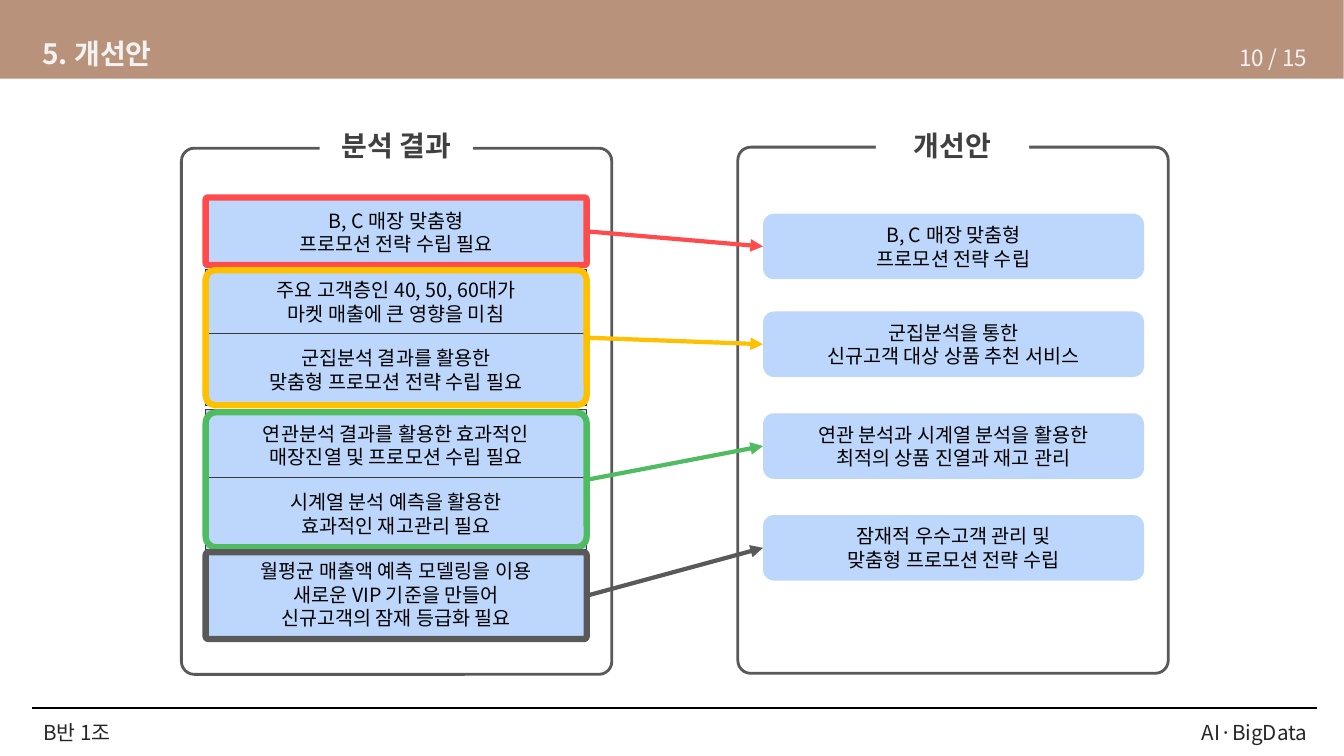
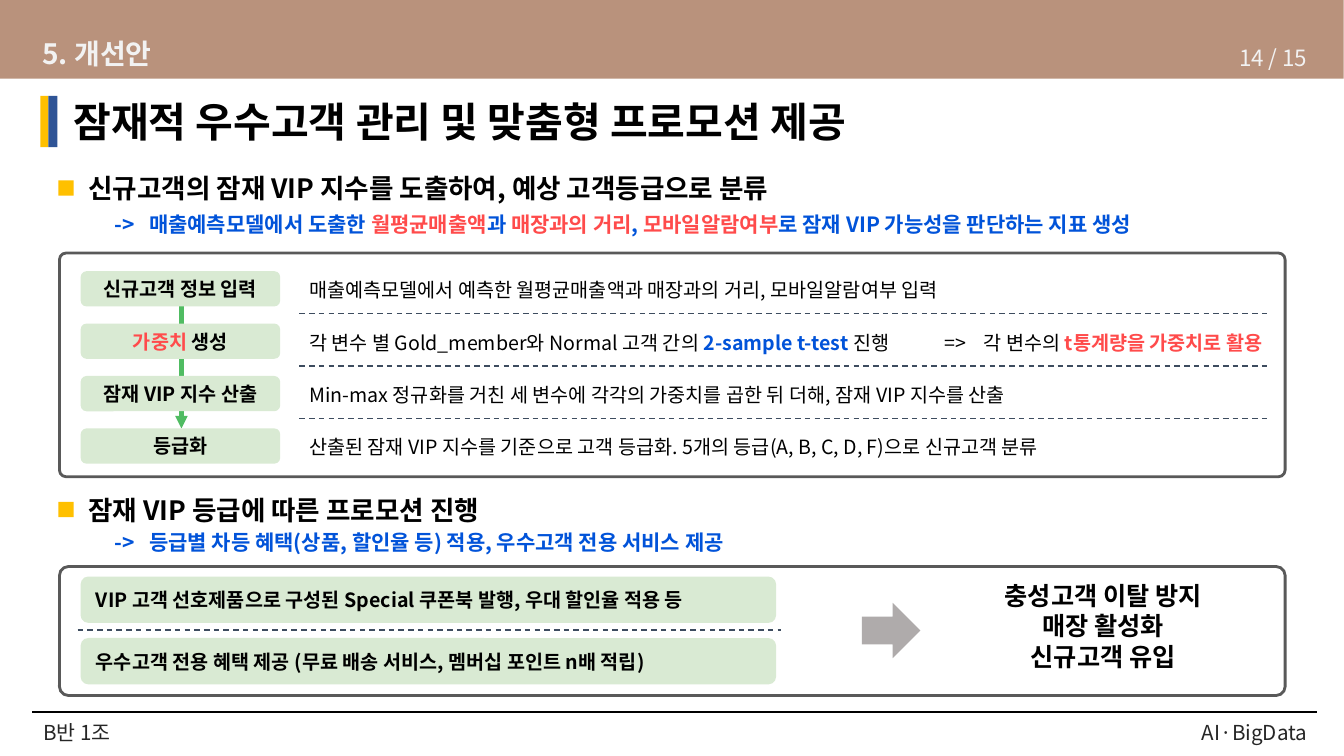
from lxml.etree import SubElement
from pptx import Presentation
from pptx.dml.color import RGBColor
from pptx.enum.dml import MSO_LINE
from pptx.enum.shapes import MSO_CONNECTOR, MSO_SHAPE
from pptx.enum.text import MSO_ANCHOR, MSO_AUTO_SIZE, PP_ALIGN
from pptx.oxml.ns import qn
from pptx.util import Pt

PX = 9144  # 100 px to the inch
FONT = "Noto Sans CJK KR"
C = dict(band="B9927C", light="F2F2F2", ink="000000", footer="262626", heading="404040",
         frame="595959", edge="3B3838", sky="BDD7FC", mint="D9EAD3", white="FFFFFF",
         red="FF4B4B", yellow="FFC000", green="50BC62", blue="0153D9", navy="2F5496",
         dash="3D4C5F", arrow="AFABAB")

SECTION = "5. 개선안"
TEAM, COURSE = "B반 1조", "AI·BigData"

# Slide 10: panel heading, left, top
PANELS = [("분석 결과", 180, 147), ("개선안", 732, 146)]
# top, height, text
FINDINGS = [
    (198, 65, "B, C 매장 맞춤형\n프로모션 전략 수립 필요"),
    (267, 65, "주요 고객층인 40, 50, 60대가\n마켓 매출에 큰 영향을 미침"),
    (331, 71, "군집분석 결과를 활용한\n맞춤형 프로모션 전략 수립 필요"),
    (406, 71, "연관분석 결과를 활용한 효과적인\n매장진열 및 프로모션 수립 필요"),
    (474, 71, "시계열 분석 예측을 활용한\n효과적인 재고관리 필요"),
    (546, 87, "월평균 매출액 예측 모델링을 이용\n새로운 VIP 기준을 만들어\n신규고객의 잠재 등급화 필요"),
]
# group top, height, corner, colour; plan top, text
LINKS = [
    (196, 67, 0.03, "red", 212, "B, C 매장 맞춤형\n프로모션 전략 수립"),
    (268, 134, 0.07, "yellow", 309, "군집분석을 통한\n신규고객 대상 상품 추천 서비스"),
    (409, 134, 0.08, "green", 410, "연관 분석과 시계열 분석을 활용한\n최적의 상품 진열과 재고 관리"),
    (548, 86, 0.03, "frame", 511, "잠재적 우수고객 관리 및\n맞춤형 프로모션 전략 수립"),
]

# Slide 14: a text is a string or a list of (text, format) runs
HEADLINE = "잠재적 우수고객 관리 및 맞춤형 프로모션 제공"
RED, BLUE = dict(color="red"), dict(color="blue")
# heading top, heading, subheading top, subheading
TOPICS = [
    (166, "신규고객의 잠재 VIP 지수를 도출하여, 예상 고객등급으로 분류", 205,
     [("->\t매출예측모델에서 도출한 ", BLUE), ("월평균매출액", RED), ("과 ", BLUE),
      ("매장과의 거리", RED), (", ", BLUE), ("모바일알람여부", RED),
      ("로 잠재 VIP 가능성을 판단하는 지표 생성", BLUE)]),
    (485, "잠재 VIP 등급에 따른 프로모션 진행", 520,
     [("->\t등급별 차등 혜택(상품, 할인율 등) 적용, 우수고객 전용 서비스 제공", BLUE)]),
]
STEPS = [
    ("신규고객 정보 입력", "매출예측모델에서 예측한 월평균매출액과 매장과의 거리, 모바일알람여부 입력"),
    ([("가중치", RED), (" 생성", {})],
     [("각 변수 별 Gold_member와 Normal 고객 간의 ", {}),
      ("2-sample t-test ", dict(color="blue", bold=True)), ("진행\t=>\t각 변수의 ", {}),
      ("t통계량을 가중치로 활용", dict(color="red", bold=True))]),
    ("잠재 VIP 지수 산출", "Min-max 정규화를 거친 세 변수에 각각의 가중치를 곱한 뒤 더해, 잠재 VIP 지수를 산출"),
    ("등급화", "산출된 잠재 VIP 지수를 기준으로 고객 등급화. 5개의 등급(A, B, C, D, F)으로 신규고객 분류"),
]
BENEFITS = ["VIP 고객 선호제품으로 구성된 Special 쿠폰북 발행, 우대 할인율 적용 등",
            "우수고객 전용 혜택 제공 (무료 배송 서비스, 멤버십 포인트 n배 적립)"]
OUTCOMES = "충성고객 이탈 방지\n매장 활성화\n신규고객 유입"


def rgb(name):
    return RGBColor.from_string(C[name])


def emu(*lengths):
    return [round(v * PX) for v in lengths]


def write(sp, text, size=14, color="ink", bold=False, align=PP_ALIGN.LEFT,
          anchor=MSO_ANCHOR.TOP, inset=(10, 5), tabs=()):
    """Fill a shape with text; a string gives one paragraph a line, a list gives runs."""
    tf = sp.text_frame
    tf.word_wrap, tf.auto_size, tf.vertical_anchor = True, MSO_AUTO_SIZE.NONE, anchor
    tf.margin_left, tf.margin_top = tf.margin_right, tf.margin_bottom = emu(*inset)
    lines = [[(line, {})] for line in text.split("\n")] if isinstance(text, str) else [text]
    for i, runs in enumerate(lines):
        p = tf.add_paragraph() if i else tf.paragraphs[0]
        p.alignment = align
        if tabs:
            stops = SubElement(p._p.get_or_add_pPr(), qn("a:tabLst"))
            for pos in emu(*tabs):
                SubElement(stops, qn("a:tab"), pos=str(pos), algn="l")
        for part, fmt in runs:
            r = p.add_run()
            r.text = part
            font = r.font
            font.size, font.name = Pt(size), FONT
            font.bold = fmt.get("bold", bold)
            font.color.rgb = rgb(fmt.get("color", color))
            SubElement(r._r.get_or_add_rPr(), qn("a:ea"), typeface=FONT)


def label(s, box, text, **fmt):
    write(s.shapes.add_textbox(*emu(*box)), text, **fmt)


def shape(s, box, kind=MSO_SHAPE.RECTANGLE, fill=None, line=None, width=2, corner=None,
          text=None, **fmt):
    sp = s.shapes.add_shape(kind, *emu(*box))
    sp.shadow.inherit = False
    if fill:
        sp.fill.solid()
        sp.fill.fore_color.rgb = rgb(fill)
    else:
        sp.fill.background()
    if line:
        sp.line.color.rgb, sp.line.width = rgb(line), Pt(width)
    else:
        sp.line.fill.background()
    if corner is not None:
        sp.adjustments[0] = corner
    if text:
        fmt = dict(align=PP_ALIGN.CENTER, anchor=MSO_ANCHOR.MIDDLE, inset=(13, 7)) | fmt
        write(sp, text, **fmt)
    return sp


def rounded(s, box, **fmt):
    return shape(s, box, MSO_SHAPE.ROUNDED_RECTANGLE, **fmt)


def line(s, ends, color, width, dashed=False, arrow=False):
    cn = s.shapes.add_connector(MSO_CONNECTOR.STRAIGHT, *emu(*ends))
    cn.line.color.rgb, cn.line.width = rgb(color), Pt(width)
    if dashed:
        cn.line.dash_style = MSO_LINE.DASH
    if arrow:
        SubElement(cn.line._get_or_add_ln(), qn("a:tailEnd"), type="triangle")
    SubElement(cn._element.spPr, qn("a:effectLst"))
    return cn


def base_slide(prs, page, rule_y):
    """Add a slide with the band, section title, page number and footer."""
    s = prs.slides.add_slide(prs.slide_layouts[5])
    shape(s, (0, 0, 1333, 78), fill="band")
    title = s.shapes.title
    title.left, title.top, title.width, title.height = emu(32, 31, 951, 50)
    write(title, SECTION, size=20, color="light", bold=True)
    s.shapes.element.append(title.element)  # in front of the band
    label(s, (1001, 39, 306, 42), page, size=16, color="light", align=PP_ALIGN.RIGHT)
    line(s, (32, rule_y, 1307, rule_y), "ink", 1.5)
    label(s, (33, 709, 231, 33), TEAM, size=14.7, color="footer")
    label(s, (1150, 709, 157, 33), COURSE, size=14.7, color="footer", align=PP_ALIGN.RIGHT)
    return s


def plan_slide(prs):
    s = base_slide(prs, "10 / 15", 702)
    for heading, x, y in PANELS:
        rounded(s, (x, y, 427, 522), line="frame", corner=0.03)
        rounded(s, (x + 137, 125, 152, 38), fill="white", text=heading, size=20,
                color="heading", bold=True)
    for y, h, text in FINDINGS:
        shape(s, (204, y, 378, h), fill="sky", line="edge", width=0.75, text=text)
    for y, h, corner, color, plan_y, text in LINKS:
        plan = rounded(s, (757, plan_y, 378, 65), fill="sky", text=text)
        group = rounded(s, (204, y, 378, h), line=color, width=4.5, corner=corner)
        cn = line(s, (582, y + h / 2, 757, plan_y + 32.5), color, 3, arrow=True)
        cn.begin_connect(group, 3)
        cn.end_connect(plan, 1)


def promotion_slide(prs):
    s = base_slide(prs, "14 / 15", 706)
    shape(s, (40, 95, 8, 51), fill="yellow")
    shape(s, (48, 95, 9, 51), fill="navy")
    label(s, (63, 91, 880, 63), HEADLINE, size=29.3, bold=True)
    for y, heading, sub_y, sub in TOPICS:
        shape(s, (58, y + 13, 15, 15), fill="yellow")
        label(s, (78, y, 1216, 45), heading, size=19, bold=True)
        label(s, (104, sub_y, 1158, 43), sub, size=15, bold=True, tabs=[34])

    rounded(s, (59, 251, 1216, 222), line="frame", corner=0.03)
    top, pitch = 269, 52
    line(s, (180, top, 180, top + 3 * pitch), "green", 3, arrow=True)
    for i, (step, detail) in enumerate(STEPS):
        y = top + i * pitch
        rounded(s, (80, y, 198, 35), fill="mint", text=step, bold=True)
        label(s, (297, y + 2, 1000, 40), detail, tabs=[630, 669])
        if i < len(STEPS) - 1:
            line(s, (297, y + 42, 1259, y + 42), "dash", 1, dashed=True)

    for i, benefit in enumerate(BENEFITS):
        rounded(s, (80, 572 + 61 * i, 690, 46), fill="mint", text=benefit, bold=True,
                align=PP_ALIGN.LEFT)
    line(s, (77, 625, 775, 625), "dash", 1, dashed=True)
    shape(s, (855, 598, 58, 55), MSO_SHAPE.RIGHT_ARROW, fill="arrow")
    label(s, (931, 571, 327, 111), OUTCOMES, size=18, bold=True, align=PP_ALIGN.CENTER)
    rounded(s, (59, 562, 1216, 128), line="frame", corner=0.07)


def main():
    prs = Presentation()
    prs.slide_width, prs.slide_height = emu(1333.33, 750)
    plan_slide(prs)
    promotion_slide(prs)
    prs.save("out.pptx")


if __name__ == "__main__":
    main()
